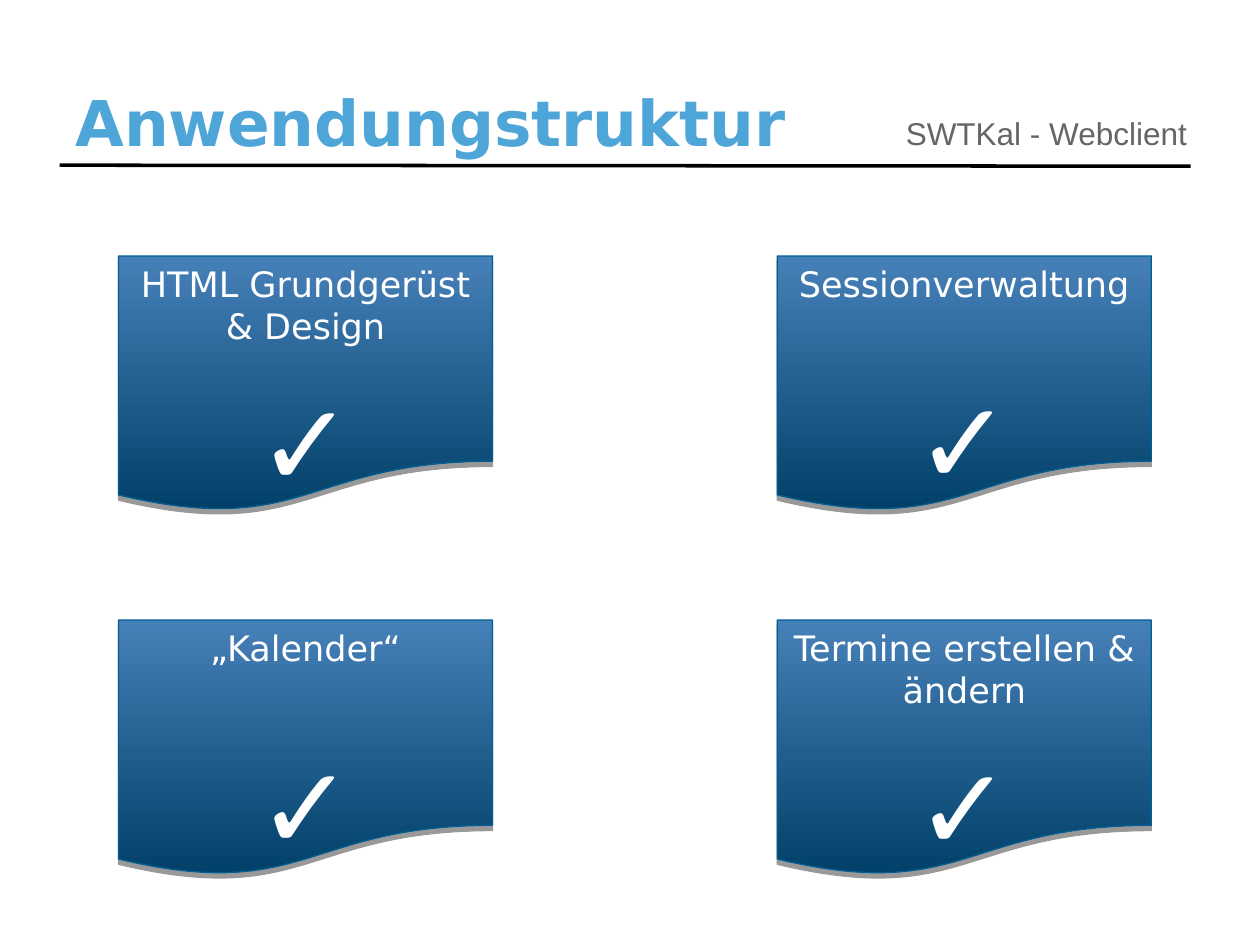
from itertools import product

from lxml.etree import SubElement
from pptx import Presentation
from pptx.dml.color import RGBColor
from pptx.enum.shapes import MSO_CONNECTOR, MSO_SHAPE
from pptx.enum.text import MSO_ANCHOR, PP_ALIGN
from pptx.oxml.ns import qn
from pptx.util import Cm, Pt

COLORS = {
    "title": "4EA5D8",
    "project": "656565",
    "rule": "000000",
    "card_top": "4680B8",
    "card_bottom": "004068",
    "card_line": "035E94",
    "card_text": "FFFFFF",
    "shadow": "000000",
}
COLUMNS = (2.39, 15.67)
ROWS = (5.16, 12.5)
CARD_WIDTH, CARD_HEIGHT = 7.54, 5.16

# Topic and the number of lines it takes up
TOPICS = (
    ("HTML Grundgerüst & Design", 2),
    ("Sessionverwaltung", 1),
    ("„Kalender“", 1),
    ("Termine erstellen & ändern", 2),
)
LINE_HEIGHT = 23.3
CHECK_GAP = 14


def rgb(name):
    return RGBColor.from_string(COLORS[name])


def write(p, text, font, size, color, align=PP_ALIGN.LEFT, bold=False):
    p.text = text
    p.alignment = align
    p.font.name = font
    p.font.size = Pt(size)
    p.font.bold = bold
    p.font.color.rgb = rgb(color)


def add_label(slide, left, top, width, height, anchor, wrap=True):
    """Add a text box and return its first paragraph."""
    sp = slide.shapes.add_textbox(Cm(left), Cm(top), Cm(width), Cm(height))
    tf = sp.text_frame
    tf.word_wrap = wrap
    tf.vertical_anchor = anchor
    return tf.paragraphs[0]


def add_rule(slide, x1, y1, x2, y2):
    line = slide.shapes.add_connector(
        MSO_CONNECTOR.STRAIGHT, Cm(x1), Cm(y1), Cm(x2), Cm(y2))
    line.line.color.rgb = rgb("rule")
    line.line.width = Pt(2)
    SubElement(line._element.spPr, qn("a:effectLst"))


def add_hard_shadow(sp):
    sp.shadow.inherit = False
    effects = sp._element.spPr.find(qn("a:effectLst"))
    shadow = SubElement(effects, qn("a:outerShdw"), blurRad="0",
                        dist=str(Pt(3)), dir="5400000", rotWithShape="0")
    color = SubElement(shadow, qn("a:srgbClr"), val=COLORS["shadow"])
    SubElement(color, qn("a:alpha"), val="40000")


def add_card(slide, left, top, topic, lines):
    sp = slide.shapes.add_shape(
        MSO_SHAPE.FLOWCHART_DOCUMENT,
        Cm(left), Cm(top), Cm(CARD_WIDTH), Cm(CARD_HEIGHT))
    sp.fill.gradient()
    sp.fill.gradient_angle = 90
    for stop, name in zip(sp.fill.gradient_stops, ("card_bottom", "card_top")):
        stop.color.rgb = rgb(name)
    sp.line.color.rgb = rgb("card_line")
    sp.line.width = Pt(0.75)
    add_hard_shadow(sp)

    tf = sp.text_frame
    tf.word_wrap = True
    tf.vertical_anchor = MSO_ANCHOR.TOP
    write(tf.paragraphs[0], topic, "DejaVu Sans", 20, "card_text",
          PP_ALIGN.CENTER)
    check = tf.add_paragraph()
    check.space_before = Pt(CHECK_GAP + (2 - lines) * LINE_HEIGHT)
    write(check, "✓", "Arial", 66, "card_text", PP_ALIGN.CENTER)


def main():
    prs = Presentation()
    prs.slide_width, prs.slide_height = Cm(25.4), Cm(19.05)
    slide = prs.slides.add_slide(prs.slide_layouts[6])

    title = add_label(slide, 1.27, 0.41, 16.79, 2.92, MSO_ANCHOR.BOTTOM)
    write(title, "Anwendungstruktur", "DejaVu Sans", 36, "title", bold=True)
    add_rule(slide, 1.2, 3.33, 24, 3.35)
    project = add_label(slide, 18.01, 2.18, 6.17, 1.02, MSO_ANCHOR.TOP,
                        wrap=False)
    write(project, "SWTKal - Webclient", "Arial", 18, "project",
          PP_ALIGN.RIGHT)

    for (top, left), (topic, lines) in zip(product(ROWS, COLUMNS), TOPICS):
        add_card(slide, left, top, topic, lines)

    prs.save("out.pptx")


if __name__ == "__main__":
    main()
